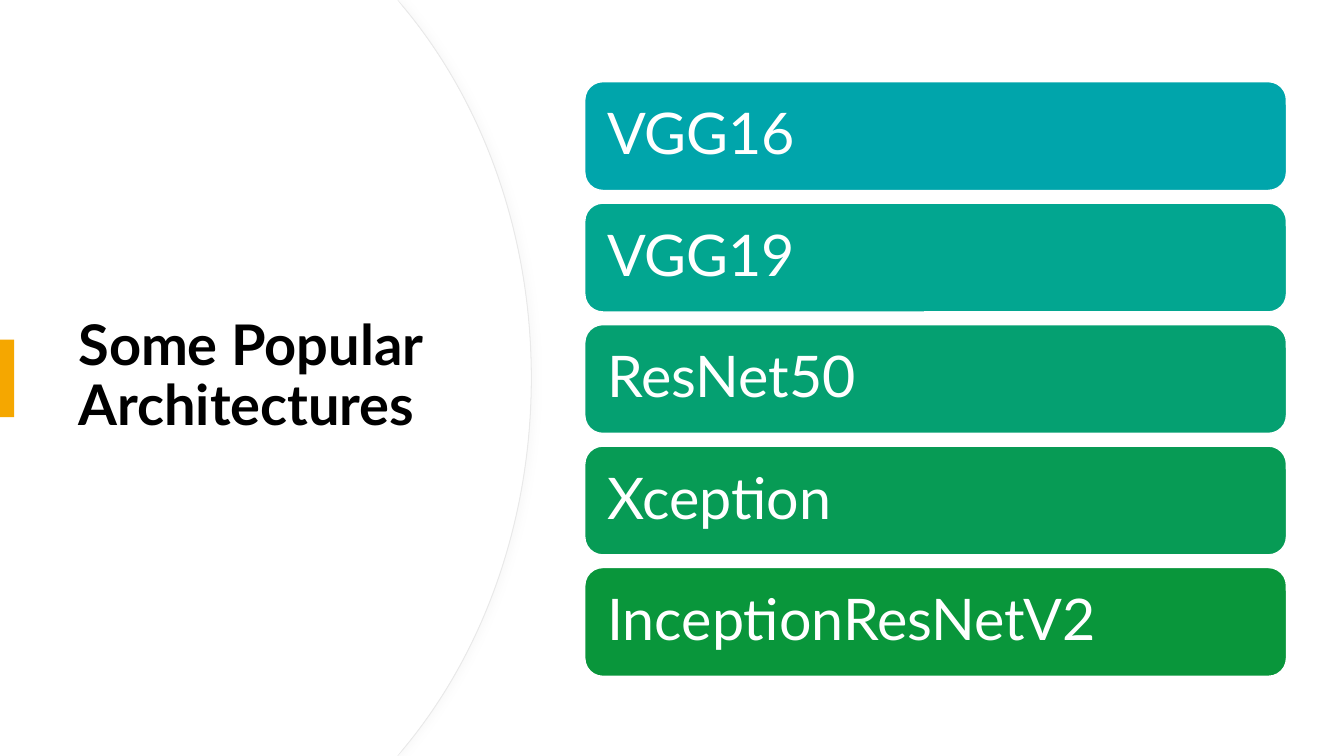
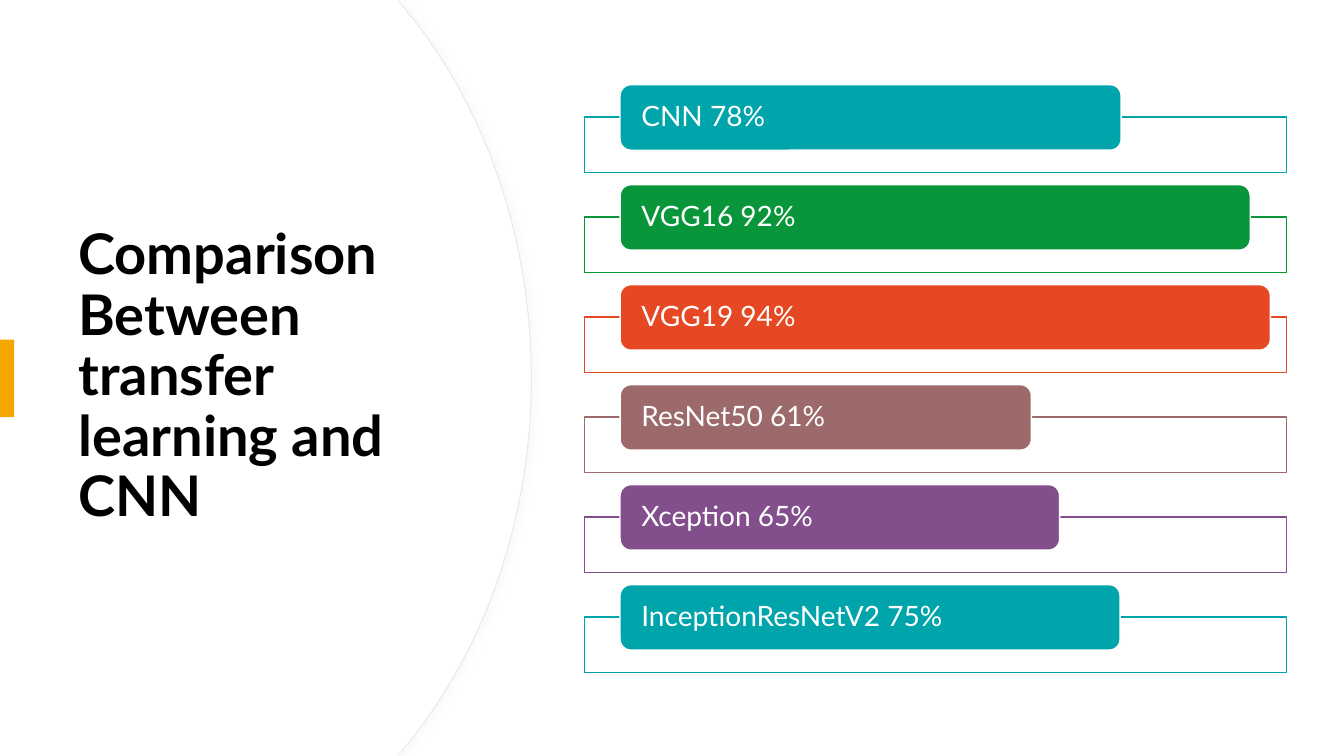
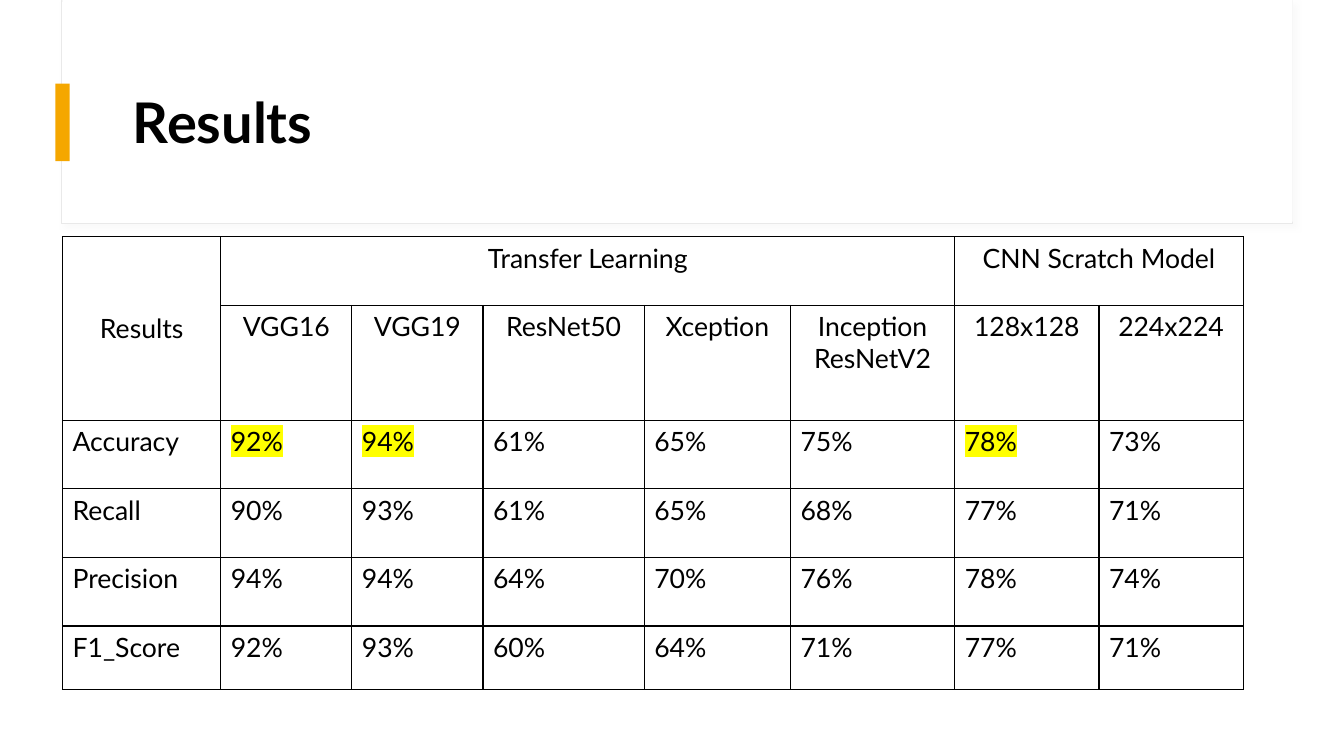
from lxml import etree
from pptx import Presentation
from pptx import util as u
from pptx.dml.color import RGBColor
from pptx.enum import shapes, text
from pptx.oxml.ns import qn

# Shared look
FONT = "Lato"
BLACK = RGBColor(0x00, 0x00, 0x00)
WHITE = RGBColor(0xFF, 0xFF, 0xFF)
EDGE = RGBColor(0xE9, 0xE9, 0xE9)
AMBER = RGBColor(0xF5, 0xA7, 0x00)
TEAL = RGBColor(0x00, 0xA5, 0xAB)
SEA = RGBColor(0x02, 0xA6, 0x90)
JADE = RGBColor(0x05, 0xA0, 0x71)
LEAF = RGBColor(0x07, 0x9B, 0x55)
GREEN = RGBColor(0x09, 0x96, 0x3B)
RED = RGBColor(0xE6, 0x48, 0x23)
ROSE = RGBColor(0x9C, 0x6A, 0x6A)
PURPLE = RGBColor(0x82, 0x4F, 0x8C)
SHADOW, HIGHLIGHT = "D9D9D9", "FFFF00"

# Slide grid, in inches
WIDTH, HEIGHT = 13.33, 7.5
LIST_LEFT, LIST_WIDTH = 5.8, 6.96
BAR_LEFT = 6.15

# Content
ARCHITECTURES = [("VGG16", TEAL), ("VGG19", SEA), ("ResNet50", JADE),
                 ("Xception", LEAF), ("InceptionResNetV2", GREEN)]
ACCURACIES = [("CNN 78%", 4.97, TEAL), ("VGG16 92%", 6.25, GREEN),
              ("VGG19 94%", 6.45, RED), ("ResNet50 61%", 4.08, ROSE),
              ("Xception 65%", 4.36, PURPLE),
              ("InceptionResNetV2 75%", 4.96, TEAL)]
COLUMN_WIDTHS = [1.57, 1.3, 1.3, 1.6, 1.45, 1.63, 1.43, 1.43]
ROW_HEIGHTS = [0.68, 1.14, 0.68, 0.68, 0.68, 0.63]
RESULTS = [
    ["Results", "Transfer Learning", "", "", "", "", "CNN Scratch Model", ""],
    ["", "VGG16", "VGG19", "ResNet50", "Xception", "Inception\nResNetV2",
     "128x128", "224x224"],
    ["Accuracy", "92%", "94%", "61%", "65%", "75%", "78%", "73%"],
    ["Recall", "90%", "93%", "61%", "65%", "68%", "77%", "71%"],
    ["Precision", "94%", "94%", "64%", "70%", "76%", "78%", "74%"],
    ["F1_Score", "92%", "93%", "60%", "64%", "71%", "77%", "71%"],
]
HEADER_ROWS = 2
MERGES = [((0, 0), (1, 0)), ((0, 1), (0, 5)), ((0, 6), (0, 7))]
BEST = {(2, 1), (2, 2), (2, 6)}


def box(left, top, width, height):
    return [u.Inches(v) for v in (left, top, width, height)]


def paint(shape, fill, line=None, weight=1):
    shape.shadow.inherit = False
    shape.fill.solid()
    shape.fill.fore_color.rgb = fill
    if line is None:
        shape.line.fill.background()
    else:
        shape.line.color.rgb = line
        shape.line.width = u.Pt(weight)
    return shape


def add_block(slide, kind, place, fill, line=None, weight=1):
    return paint(slide.shapes.add_shape(kind, *box(*place)), fill, line, weight)


def cast_shadow(shape, degrees):
    effects = shape.element.spPr.find(qn("a:effectLst"))
    outer = etree.SubElement(effects, qn("a:outerShdw"), blurRad=str(u.Pt(4)),
                             dist=str(u.Pt(3)), dir=str(degrees * 60000))
    colour = etree.SubElement(outer, qn("a:srgbClr"), val=SHADOW)
    etree.SubElement(colour, qn("a:alpha"), val="12000")


def add_run(paragraph, words, size, colour, bold=False, highlight=None):
    run = paragraph.add_run()
    run.text = words
    run.font.size = u.Pt(size)
    run.font.bold = bold
    run.font.color.rgb = colour
    if highlight:
        mark = etree.SubElement(run.font._element, qn("a:highlight"))
        etree.SubElement(mark, qn("a:srgbClr"), val=highlight)
    run.font.name = FONT


def write_line(shape, words, size, colour, bold=False, inset=0.1):
    frame = shape.text_frame
    frame.word_wrap = True
    frame.vertical_anchor = text.MSO_ANCHOR.MIDDLE
    frame.margin_left = frame.margin_right = u.Inches(inset)
    paragraph = frame.paragraphs[0]
    paragraph.alignment = text.PP_ALIGN.LEFT
    paragraph.line_spacing = 0.9
    add_run(paragraph, words, size, colour, bold)


def add_title(slide, words, place, accent_left, accent_top):
    write_line(slide.shapes.add_textbox(*box(*place)), words, 40, BLACK, True)
    add_block(slide, shapes.MSO_SHAPE.RECTANGLE,
              (accent_left, accent_top, 0.14, 0.77), AMBER)


def add_label(slide, place, fill, words, size, inset):
    label = add_block(slide, shapes.MSO_SHAPE.ROUNDED_RECTANGLE, place, fill, WHITE)
    write_line(label, words, size, WHITE, inset=inset)


def bend(shape, first):
    """Turn three straight segments, from number first on, into one curve."""
    segments = list(shape.element.iter(qn("a:lnTo")))[first:first + 3]
    curve = etree.Element(qn("a:cubicBezTo"))
    segments[0].addprevious(curve)
    for segment in segments:
        curve.append(segment[0])
        segment.getparent().remove(segment)


def add_curved_panel(slide, reach, line=None):
    # The lower half of the edge mirrors the upper half
    upper = [(3.94, 0), (reach - 1.26, 0.08), (reach - 0.48, 1.02),
             (reach, 2.32), (reach, HEIGHT / 2)]
    lower = [(x, HEIGHT - y) for x, y in reversed(upper[:-1])]
    corners = upper + lower + [(0, HEIGHT)]
    outline = slide.shapes.build_freeform(0, 0, scale=u.Inches(1) / 1000)
    outline.add_line_segments([(x * 1000, y * 1000) for x, y in corners], close=True)
    panel = outline.convert_to_shape()
    for first in (5, 2):
        bend(panel, first)
    return paint(panel, WHITE, line, 0.75)


def add_side_title(slide, words):
    cast_shadow(add_curved_panel(slide, 5.27, EDGE), 0)
    add_curved_panel(slide, 5.26)
    add_title(slide, words, (0.68, 1.27, 3.94, 4.95), 0, 3.37)


def add_header(slide, words):
    card = add_block(slide, shapes.MSO_SHAPE.RECTANGLE,
                     (0.61, 0.01, 12.21, 2.21), WHITE, EDGE, 0.75)
    cast_shadow(card, 45)
    add_block(slide, shapes.MSO_SHAPE.RECTANGLE, (0.62, 0, 12.2, 2.2), WHITE)
    add_title(slide, words, (1.22, 0.6, 11.12, 1.29), 0.55, 0.83)


def add_architectures(slide):
    for row, (name, colour) in enumerate(ARCHITECTURES):
        place = (LIST_LEFT, 0.81 + row * 1.205, LIST_WIDTH, 1.08)
        add_label(slide, place, colour, name, 41, 0.17)


def add_accuracies(slide):
    for row, (score, length, colour) in enumerate(ACCURACIES):
        top = 0.84 + row * 0.992
        add_block(slide, shapes.MSO_SHAPE.RECTANGLE,
                  (LIST_LEFT, top + 0.32, LIST_WIDTH, 0.55), WHITE, colour)
        add_label(slide, (BAR_LEFT, top, length, 0.65), colour, score, 20, 0.18)


def frame_cell(cell):
    properties = cell._tc.get_or_add_tcPr()
    for side in ("lnL", "lnR", "lnT", "lnB"):
        border = etree.SubElement(properties, qn("a:" + side), w=str(u.Pt(1)))
        fill = etree.SubElement(border, qn("a:solidFill"))
        etree.SubElement(fill, qn("a:srgbClr"), val=str(BLACK))
    cell.fill.background()


def fill_cell(cell, words, centred, highlight):
    for i, words_line in enumerate(words.split("\n")):
        frame = cell.text_frame
        paragraph = frame.add_paragraph() if i else frame.paragraphs[0]
        if centred:
            paragraph.alignment = text.PP_ALIGN.CENTER
        add_run(paragraph, words_line, 19, BLACK, highlight=highlight)


def add_results(slide):
    place = (0.62, 2.35, sum(COLUMN_WIDTHS), sum(ROW_HEIGHTS))
    table = slide.shapes.add_table(len(RESULTS), len(COLUMN_WIDTHS),
                                   *box(*place)).table
    table.first_row = table.horz_banding = False
    for column, width in zip(table.columns, COLUMN_WIDTHS):
        column.width = u.Inches(width)
    for r, (row, height) in enumerate(zip(RESULTS, ROW_HEIGHTS)):
        table.rows[r].height = u.Inches(height)
        for c, words in enumerate(row):
            cell = table.cell(r, c)
            frame_cell(cell)
            if words:
                fill_cell(cell, words, r < HEADER_ROWS,
                          HIGHLIGHT if (r, c) in BEST else None)
    for first, last in MERGES:
        table.cell(*first).merge(table.cell(*last))
    table.cell(0, 0).vertical_anchor = text.MSO_ANCHOR.MIDDLE


def main():
    deck = Presentation()
    deck.slide_width, deck.slide_height = u.Inches(WIDTH), u.Inches(HEIGHT)
    pages = [
        (add_side_title, "Some Popular Architectures", add_architectures),
        (add_side_title, "Comparison Between transfer learning and CNN",
         add_accuracies),
        (add_header, "Results", add_results),
    ]
    for add_heading, title, add_body in pages:
        slide = deck.slides.add_slide(deck.slide_layouts[6])
        add_heading(slide, title)
        add_body(slide)
    deck.save("out.pptx")


if __name__ == "__main__":
    main()
